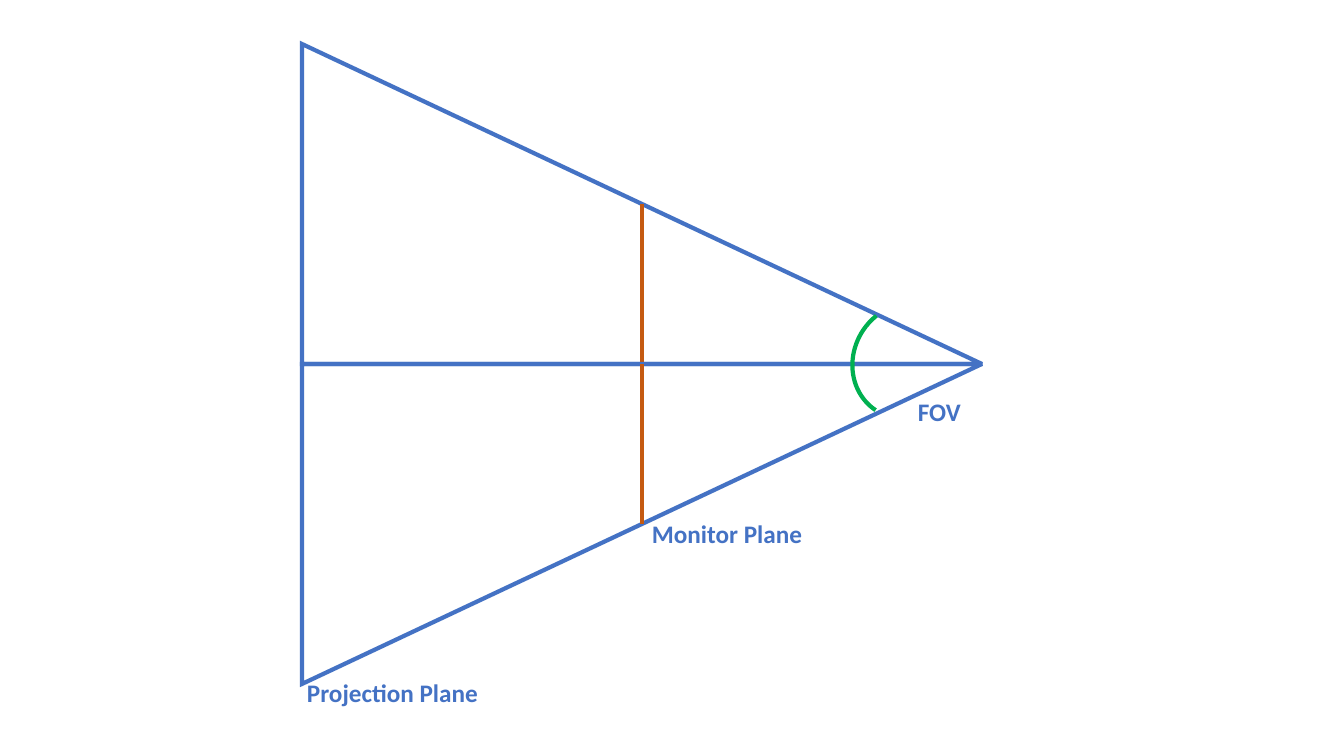
from lxml import etree
from pptx import Presentation
from pptx.dml.color import RGBColor
from pptx.enum.shapes import MSO_CONNECTOR, MSO_SHAPE
from pptx.enum.text import MSO_AUTO_SIZE
from pptx.oxml.ns import qn
from pptx.util import Pt

STRAIGHT = MSO_CONNECTOR.STRAIGHT
RIGHT_TRIANGLE = MSO_SHAPE.RIGHT_TRIANGLE
ARC = MSO_SHAPE.ARC
FIT_SHAPE = MSO_AUTO_SIZE.SHAPE_TO_FIT_TEXT

THEME = {
    "blue": RGBColor(0x44, 0x72, 0xC4),
    "orange": RGBColor(0xC5, 0x5A, 0x11),
    "green": RGBColor(0x00, 0xB0, 0x50),
    "font": "Calibri",
    "label_size": Pt(18),
    "line_width": Pt(3),
}


def px(length):
    return round(length * 914400 / 100.8)


def add_outline(slide, preset, left, top, width, height, color, flipped):
    shape = slide.shapes.add_shape(preset, px(left), px(top), px(width), px(height))
    shape.shadow.inherit = False
    shape.fill.background()
    shape.line.color.rgb = THEME[color]
    shape.line.width = THEME["line_width"]
    properties = shape.element.spPr
    etree.SubElement(properties.find(qn("a:ln")), qn("a:miter"), lim="800000")
    if flipped:
        properties.find(qn("a:xfrm")).set("flipV", "1")
    return shape


presentation = Presentation()
presentation.slide_width = px(1344)
presentation.slide_height = px(756)
slide = presentation.slides.add_slide(presentation.slide_layouts[6])

# View frustum: two mirrored halves, each with its part of the monitor plane
projection_x, axis_y = 302, 364
depth, half_height = 680, 320
monitor_x = projection_x + depth // 2

for top, flipped in ((axis_y - half_height, False), (axis_y, True)):
    add_outline(slide, RIGHT_TRIANGLE, projection_x, top, depth, half_height, "blue", flipped)
    edge_y = axis_y + half_height // 2 * (1 if flipped else -1)
    start_y, end_y = sorted((edge_y, axis_y))
    monitor = slide.shapes.add_connector(
        STRAIGHT, px(monitor_x), px(start_y), px(monitor_x), px(end_y))
    monitor.line.color.rgb = THEME["orange"]
    monitor.line.width = THEME["line_width"]
    etree.SubElement(monitor.element.spPr, qn("a:effectLst"))

# Field of view angle
angle = add_outline(slide, ARC, 849, 306, 119, 109, "green", True)
angle.adjustments[0] = 149.504
angle.adjustments[1] = 0
angle.rotation = 123.5

# Labels
for text, left, top, width in (
    ("FOV", 908, 391, 117),
    ("Monitor Plane", 642, 513, 206),
    ("Projection Plane", 297, 672, 206),
):
    label = slide.shapes.add_textbox(px(left), px(top), px(width), px(40))
    text_frame = label.text_frame
    text_frame.word_wrap = True
    text_frame.auto_size = FIT_SHAPE
    text_frame.text = text
    font = text_frame.paragraphs[0].runs[0].font
    font.name = THEME["font"]
    font.size = THEME["label_size"]
    font.bold = True
    font.color.rgb = THEME["blue"]

presentation.save("out.pptx")
